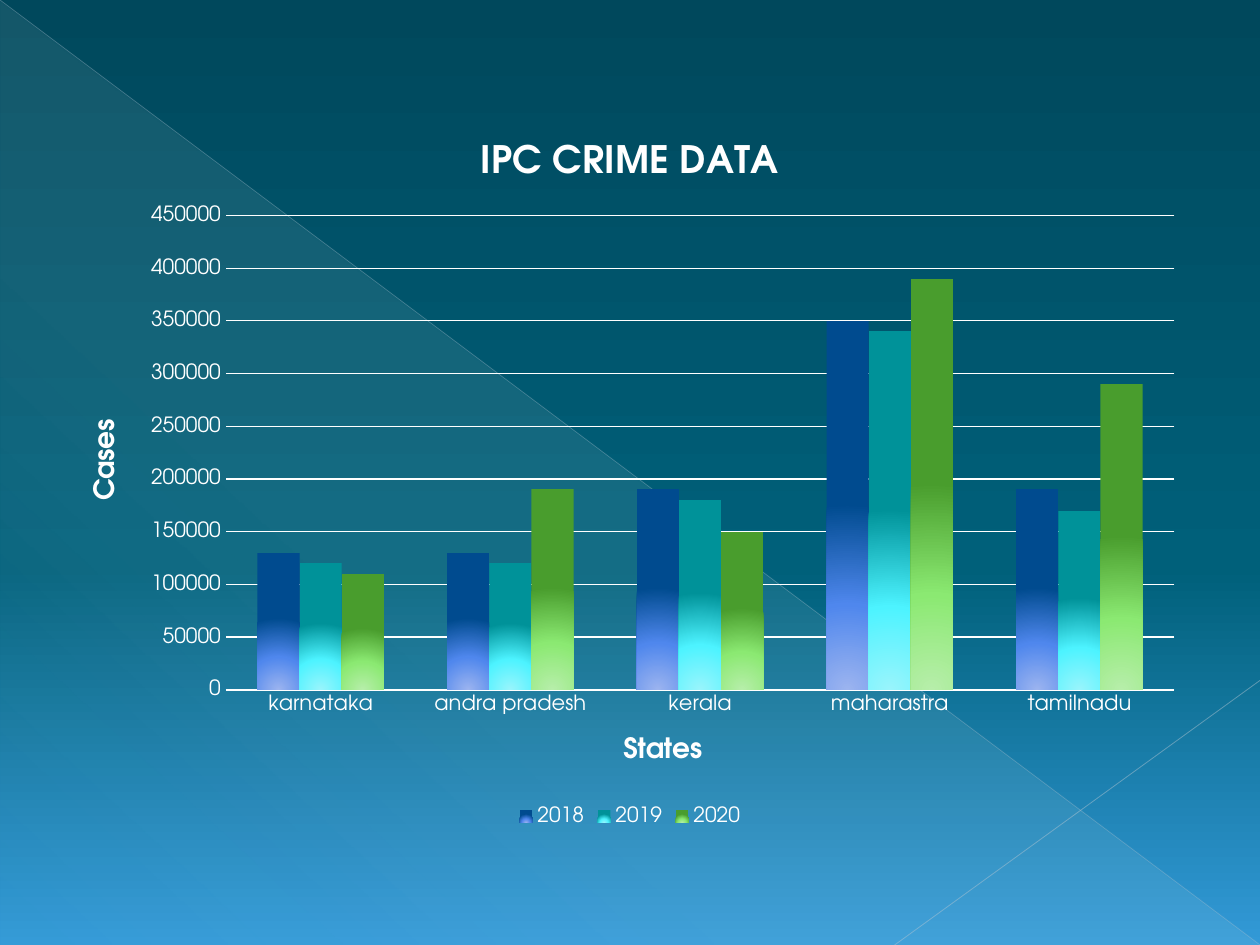
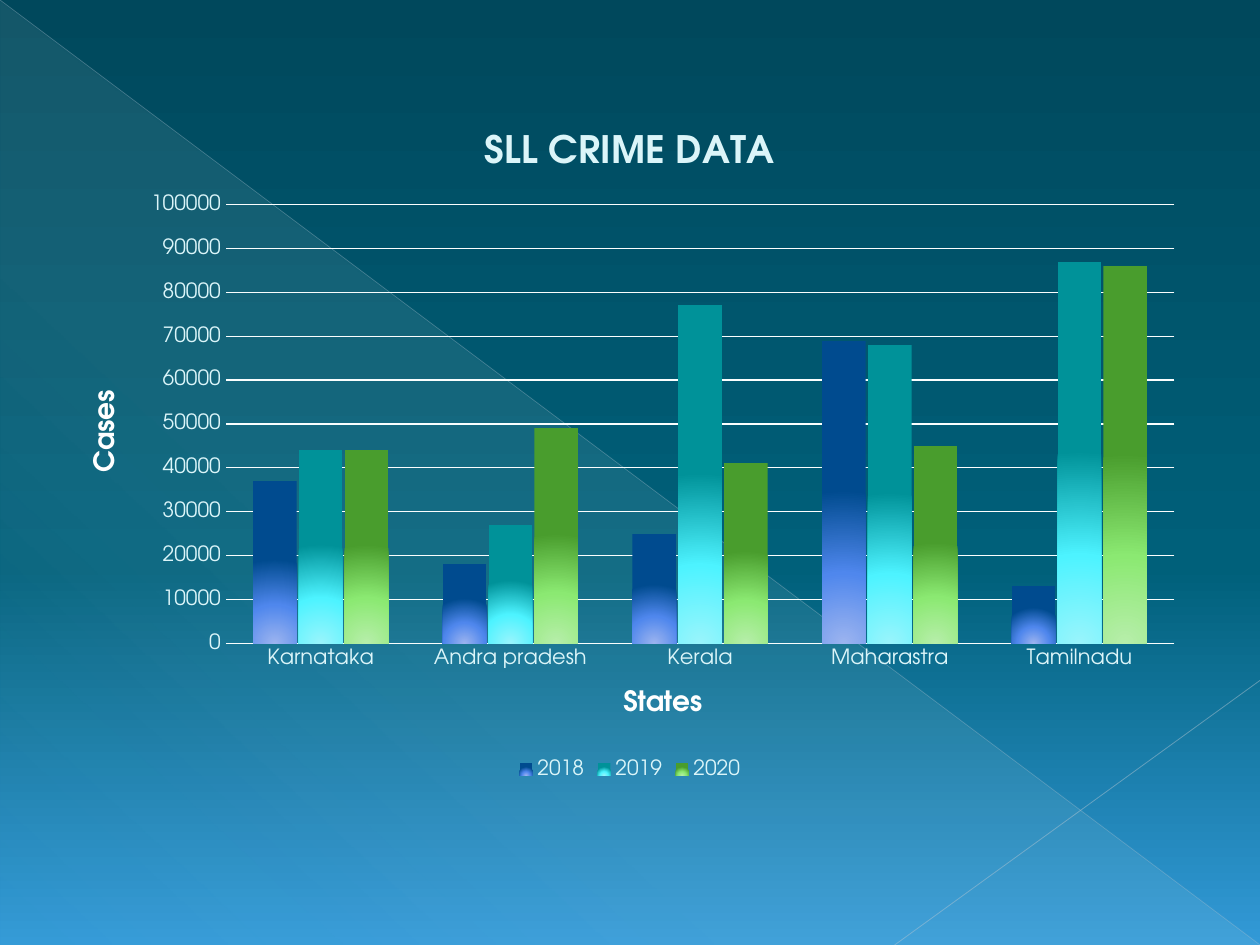
"""Build two slides of clustered column charts of crime data by state."""
from lxml.etree import SubElement
from pptx import Presentation
from pptx.chart.data import CategoryChartData
from pptx.dml.color import RGBColor
from pptx.enum.chart import XL_CHART_TYPE, XL_LEGEND_POSITION, XL_TICK_MARK
from pptx.enum.shapes import MSO_CONNECTOR, MSO_SHAPE
from pptx.oxml.ns import qn
from pptx.util import Inches, Pt

WIDE, HIGH = Inches(10), Inches(7.5)
FONT = "TeX Gyre Adventor"
WHITE = RGBColor(0xFF, 0xFF, 0xFF)
ICE = RGBColor(0xDB, 0xF5, 0xF9)
FROST = RGBColor(0xFA, 0xFE, 0xFE)
STEEL = RGBColor(0xAC, 0xC0, 0xCE)
MIST = RGBColor(0xB5, 0xC7, 0xD3)
NIGHT = RGBColor(0x00, 0x48, 0x5C)
TEAL = RGBColor(0x00, 0x60, 0x7A)
SKY = RGBColor(0x32, 0x99, 0xD7)
BLUES = [RGBColor(0x9C, 0xB4, 0xEF), RGBColor(0x4F, 0x87, 0xED), RGBColor(0x00, 0x4B, 0x8F)]
CYANS = [RGBColor(0x99, 0xF4, 0xFC), RGBColor(0x4D, 0xF3, 0xFF), RGBColor(0x00, 0x92, 0x99)]
GREENS = [RGBColor(0xB7, 0xEE, 0xAA), RGBColor(0x8B, 0xE9, 0x72), RGBColor(0x49, 0x9D, 0x2D)]

YEARS = {"2018": BLUES, "2019": CYANS, "2020": GREENS}
GLOW = {"l": 50, "t": 155, "r": 50, "b": -55}
BACK = [(0, NIGHT, 100), (60, TEAL, 100), (100, SKY, 100)]
VEIL = [(0, ICE, 10), (70, ICE, 8), (100, ICE, 1)]
RAYS = [
    ((0, 0, 1, 1), STEEL, 0.39, 35),
    ((1, 0.72, 0.71, 1), MIST, 0.47, 45),
]
CHARTS = [
    {
        "title": "IPC CRIME DATA",
        "box": (0.05, 0.12, 0.9, 0.76),
        "states": ["karnataka", "andra pradesh", "kerala", "maharastra", "tamilnadu"],
        "cases": [
            (130000, 130000, 190000, 350000, 190000),
            (120000, 120000, 180000, 340000, 170000),
            (110000, 190000, 150000, 390000, 290000),
        ],
        "text": WHITE, "grid": WHITE, "base": 1,
        "bars": {"gap_width": 150, "overlap": 0},
    },
    {
        "title": "SLL CRIME DATA",
        "box": (0.05, 0.11, 0.9, 0.72),
        "states": ["Karnataka", "Andra pradesh", "Kerala", "Maharastra", "Tamilnadu"],
        "cases": [
            (37000, 18000, 25000, 69000, 13000),
            (44000, 27000, 77000, 68000, 87000),
            (44000, 49000, 41000, 45000, 86000),
        ],
        "text": ICE, "grid": FROST, "base": 0.75,
        "bars": {"gap_width": 125, "overlap": -5},
    },
]


def apply(item, **form):
    for name, value in form.items():
        setattr(item, name, value)


def style(font, size, tint, bold=False):
    apply(font, name=FONT, size=Pt(size), bold=bold)
    font.color.rgb = tint


def stroke(line, tint, width):
    line.color.rgb = tint
    line.width = Pt(width)


def fade(tag, share):
    SubElement(tag, qn("a:alpha"), val=str(share * 1000))


def paint(fill, host, stops, angle=None):
    fill.gradient()
    grad = next(host.iter(qn("a:gradFill")))
    for part in list(grad):
        grad.remove(part)
    group = SubElement(grad, qn("a:gsLst"))
    for spot, tint, share in stops:
        stop = SubElement(group, qn("a:gs"), pos=str(spot * 1000))
        tag = SubElement(stop, qn("a:srgbClr"), val=str(tint))
        if share < 100:
            fade(tag, share)
    if angle is None:
        ring = SubElement(grad, qn("a:path"), path="circle")
        SubElement(ring, qn("a:fillToRect"), {k: str(v * 1000) for k, v in GLOW.items()})
    else:
        SubElement(grad, qn("a:lin"), ang=str(angle * 60000), scaled="0")


def place(box):
    return [int(share * size) for share, size in zip(box, (WIDE, HIGH, WIDE, HIGH))]


def dress(master, slide):
    paint(master.background.fill, master.element, BACK, 90)
    veil = slide.shapes.add_shape(MSO_SHAPE.RIGHT_TRIANGLE, 0, 0, WIDE, HIGH)
    veil.shadow.inherit = False
    veil.line.fill.background()
    paint(veil.fill, veil.element, VEIL, 133)
    parts = [veil]
    for ends, tint, width, share in RAYS:
        ray = slide.shapes.add_connector(MSO_CONNECTOR.STRAIGHT, *place(ends))
        stroke(ray.line, tint, width)
        fade(next(ray.element.iter(qn("a:srgbClr"))), share)
        SubElement(ray.element.spPr, qn("a:effectLst"))
        parts.append(ray)
    for part in parts:
        master.shapes.element.append(part.element)


def label(title, text, size, tint):
    frame = title.text_frame
    frame.text = text
    style(frame.paragraphs[0].runs[0].font, size, tint, True)
    return frame


def plot(slide, spec):
    data = CategoryChartData()
    data.categories = spec["states"]
    for year, cases in zip(YEARS, spec["cases"]):
        data.add_series(year, cases)
    chart = slide.shapes.add_chart(
        XL_CHART_TYPE.COLUMN_CLUSTERED, *place(spec["box"]), data).chart
    style(chart.font, 10, WHITE)
    apply(chart, has_title=True, has_legend=True)
    label(chart.chart_title, spec["title"], 21.6, spec["text"])
    apply(chart.legend, position=XL_LEGEND_POSITION.BOTTOM, include_in_layout=False)
    style(chart.legend.font, 12, spec["text"])
    cols = chart.plots[0]
    apply(cols, vary_by_categories=False, **spec["bars"])
    for bar, tints in zip(cols.series, YEARS.values()):
        stops = [(spot, tint, 100) for spot, tint in zip((0, 46, 100), tints)]
        paint(bar.format.fill, bar._element, stops)
    for axis, name in ((chart.category_axis, "States"), (chart.value_axis, "Cases")):
        apply(axis, has_title=True, major_tick_mark=XL_TICK_MARK.NONE,
              minor_tick_mark=XL_TICK_MARK.NONE)
        style(axis.tick_labels.font, 12, spec["text"])
        frame = label(axis.axis_title, name, 16, WHITE)
    frame._txBody.bodyPr.set("rot", "-5400000")
    stroke(chart.category_axis.format.line, spec["grid"], spec["base"])
    chart.value_axis.format.line.fill.background()
    stroke(chart.value_axis.major_gridlines.format.line, spec["grid"], 0.75)


deck = Presentation()
apply(deck, slide_width=WIDE, slide_height=HIGH)
slides = [deck.slides.add_slide(deck.slide_layouts[6]) for _ in CHARTS]
for slide in slides:
    for spot in list(slide.placeholders):
        spot.element.getparent().remove(spot.element)
dress(deck.slide_master, slides[0])
for slide, spec in zip(slides, CHARTS):
    plot(slide, spec)
deck.save("out.pptx")
